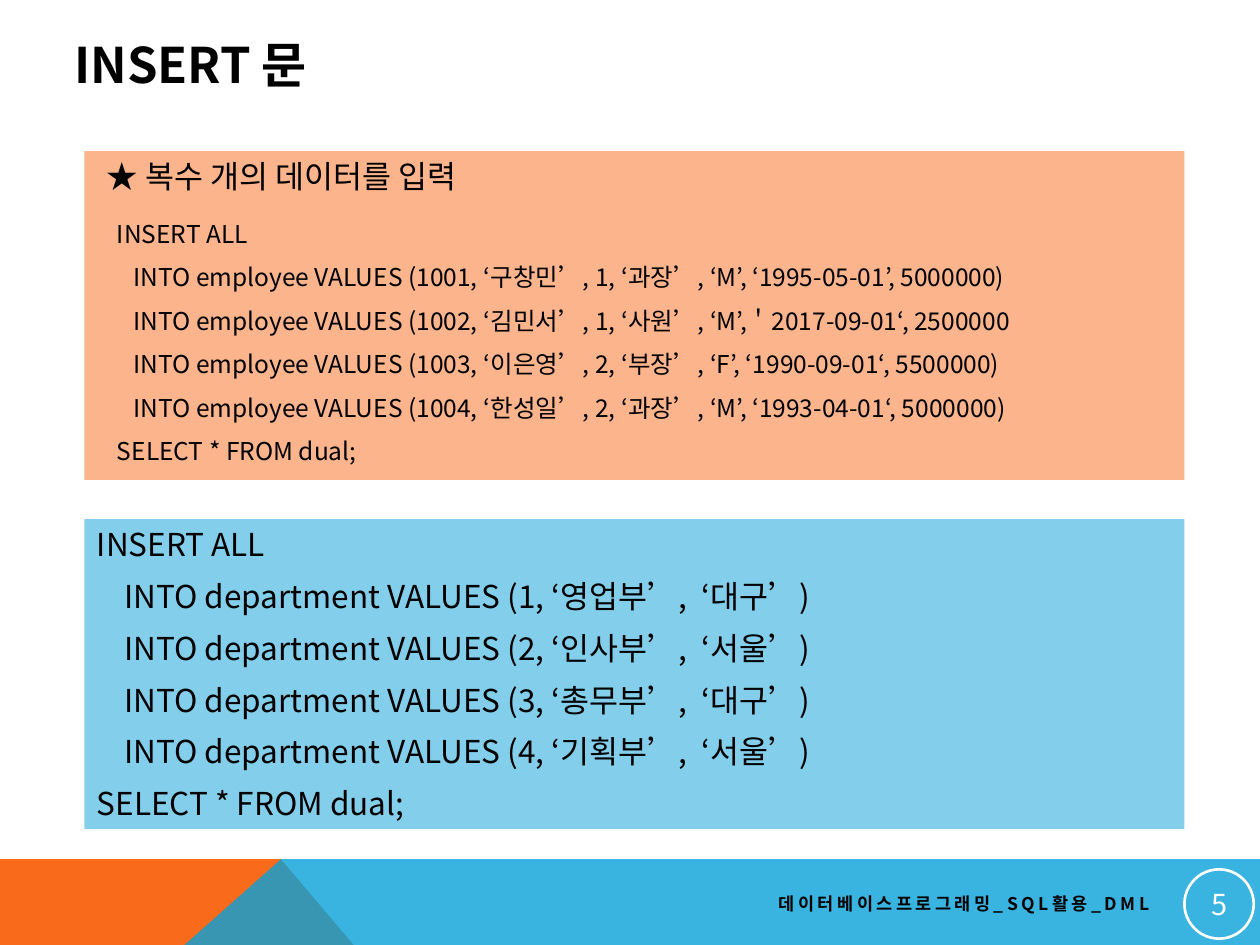
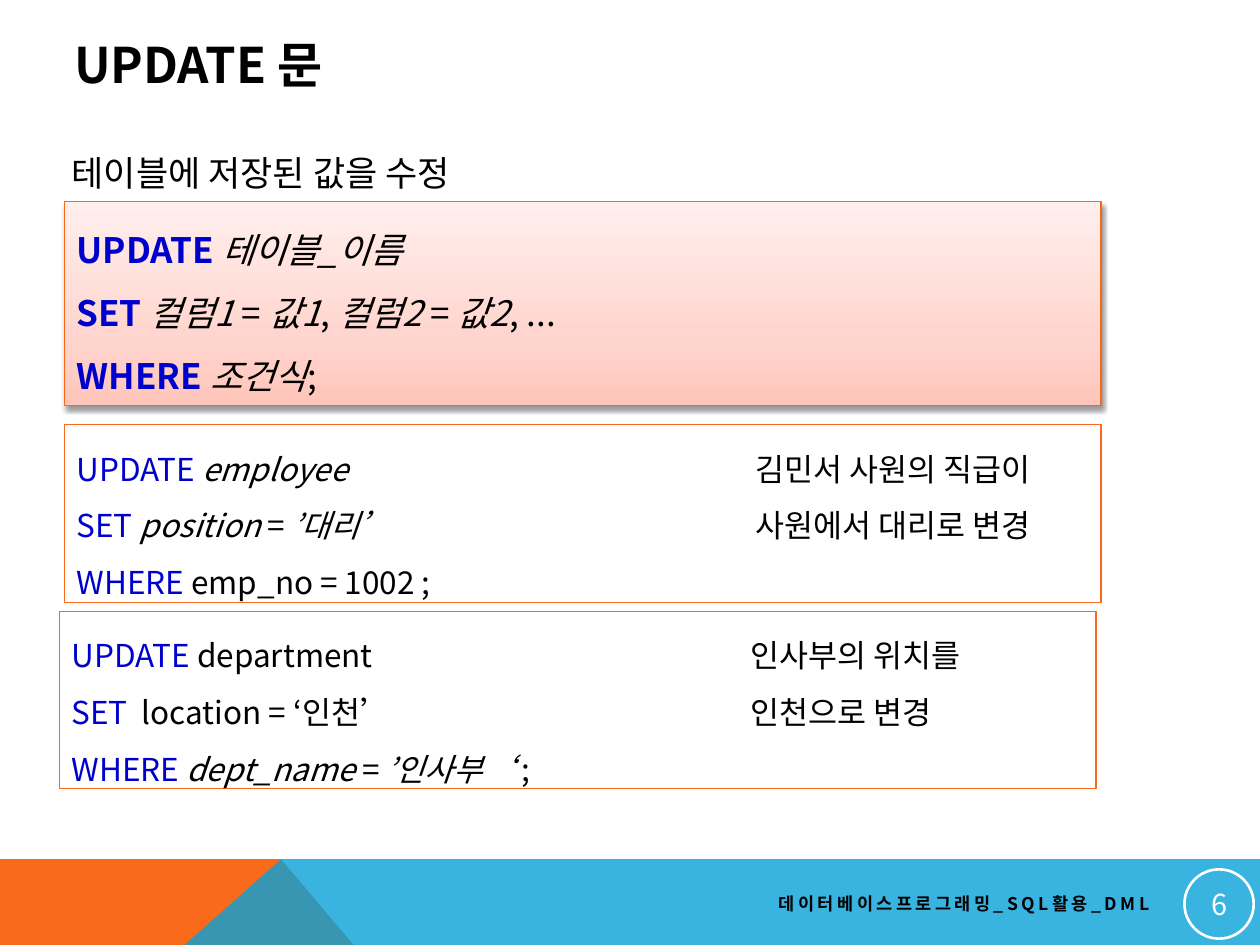
from collections import namedtuple

from lxml import etree
from pptx import Presentation
from pptx.dml.color import RGBColor
from pptx.enum.shapes import MSO_SHAPE
from pptx.enum.text import MSO_ANCHOR, MSO_AUTO_SIZE, PP_ALIGN
from pptx.oxml.ns import qn
from pptx.util import Inches, Pt

RECTANGLE, ELLIPSE = MSO_SHAPE.RECTANGLE, MSO_SHAPE.OVAL
TOP, MIDDLE = MSO_ANCHOR.TOP, MSO_ANCHOR.MIDDLE
LEFT, CENTER, RIGHT = PP_ALIGN.LEFT, PP_ALIGN.CENTER, PP_ALIGN.RIGHT
FIXED, GROW = MSO_AUTO_SIZE.NONE, MSO_AUTO_SIZE.SHAPE_TO_FIT_TEXT

BLACK = RGBColor(0x00, 0x00, 0x00)
WHITE = RGBColor(0xFF, 0xFF, 0xFF)
ORANGE = RGBColor(0xF9, 0x6A, 0x1B)
SYNTAX_LINE = RGBColor(0xF9, 0x66, 0x15)
BLUE = RGBColor(0x08, 0xA1, 0xD9)
KEYWORD_BLUE = RGBColor(0x00, 0x00, 0xCD)
SYNTAX_GRADIENT = [(0, RGBColor(0xFF, 0xC5, 0xBA)),
                   (35, RGBColor(0xFF, 0xD6, 0xCF)),
                   (100, RGBColor(0xFF, 0xEF, 0xED))]

FONT = "Noto Sans CJK KR"
FOOTER = "데이터베이스프로그래밍_SQL활용_DML"
FIRST_NUMBER = 5
HANGING = Inches(0.38)
KEYWORD, PLAIN, ITALIC = "keyword", "plain", "italic"

Box = namedtuple("Box", "left top width height")
SLIDE = Box(0, 0, Inches(10), Inches(7.5))


def part(box, left, top, width, height):
    """Return the box at the given percentages of another box."""
    return Box(int(box.left + box.width * left / 100),
               int(box.top + box.height * top / 100),
               int(box.width * width / 100),
               int(box.height * height / 100))


def format_run(run, size, color=BLACK, bold=False, italic=False):
    font = run.font
    font.name, font.size = FONT, Pt(size)
    font.bold, font.italic = bold, italic
    font.color.rgb = color
    east_asian = etree.SubElement(font._element, qn("a:ea"))
    east_asian.set("typeface", FONT)


def set_frame(text_frame, anchor=TOP, wrap=True, auto_size=FIXED):
    text_frame.word_wrap = wrap
    text_frame.auto_size = auto_size
    text_frame.vertical_anchor = anchor


def write_text(text_frame, text, size, align=LEFT, line_spacing=None, **style):
    text_frame.text = text
    for paragraph in text_frame.paragraphs:
        paragraph.alignment = align
        paragraph.line_spacing = line_spacing
        for run in paragraph.runs:
            format_run(run, size, **style)


def write_statement(text_frame, lines, size, nested_indent):
    write_text(text_frame, "\n".join(lines), size)
    for paragraph in text_frame.paragraphs:
        nested = paragraph.text.startswith("INTO")
        paragraph.space_before = Pt(8)
        properties = paragraph._p.get_or_add_pPr()
        properties.set("marL", str(HANGING + (nested_indent if nested else 0)))
        properties.set("indent", str(-HANGING))


def write_code(text_frame, lines, size, bold_keywords=False):
    for index, line in enumerate(lines):
        paragraph = text_frame.paragraphs[0] if index == 0 else text_frame.add_paragraph()
        paragraph.alignment = LEFT
        paragraph.line_spacing = 1.5
        for text, kind in line:
            run = paragraph.add_run()
            run.text = text
            is_keyword = kind == KEYWORD
            format_run(run, size, KEYWORD_BLUE if is_keyword else BLACK,
                       bold=is_keyword and bold_keywords, italic=kind == ITALIC)


def paint(shape, fill=None, opacity=100, line=None, line_width=0.75):
    shape.shadow.inherit = False
    if fill is None:
        shape.fill.background()
    else:
        shape.fill.solid()
        shape.fill.fore_color.rgb = fill
        if opacity < 100:
            color = shape._element.spPr.find(qn("a:solidFill"))[0]
            etree.SubElement(color, qn("a:alpha")).set("val", str(opacity * 1000))
    if line is None:
        shape.line.fill.background()
    else:
        shape.line.color.rgb = line
        shape.line.width = Pt(line_width)


def paint_syntax(shape):
    paint(shape, line=SYNTAX_LINE)
    shape.fill.gradient()
    shape.fill.gradient_angle = 90
    properties = shape._element.spPr
    stops = properties.find(qn("a:gradFill")).find(qn("a:gsLst"))
    for stop in list(stops):
        stops.remove(stop)
    for position, color in SYNTAX_GRADIENT:
        stop = etree.SubElement(stops, qn("a:gs"))
        stop.set("pos", str(position * 1000))
        etree.SubElement(stop, qn("a:srgbClr")).set("val", str(color))
    shadow = etree.SubElement(properties.find(qn("a:effectLst")), qn("a:outerShdw"))
    for name, value in (("blurRad", Pt(3.1)), ("dist", Pt(1.6)),
                        ("dir", 90 * 60000), ("rotWithShape", 0)):
        shadow.set(name, str(value))
    color = etree.SubElement(shadow, qn("a:srgbClr"))
    color.set("val", str(BLACK))
    etree.SubElement(color, qn("a:alpha")).set("val", "38000")


def add_text_box(slide, box, text, size, anchor=TOP, wrap=True, auto_size=FIXED, **style):
    shape = slide.shapes.add_textbox(*box)
    set_frame(shape.text_frame, anchor, wrap, auto_size)
    write_text(shape.text_frame, text, size, **style)
    return shape


def add_panel(slide, box, auto_size=FIXED):
    shape = slide.shapes.add_shape(RECTANGLE, *box)
    set_frame(shape.text_frame, auto_size=auto_size)
    return shape


def add_polygon(slide, box, corners, fill, opacity=100):
    points = [part(box, x, y, 0, 0)[:2] for x, y in corners]
    builder = slide.shapes.build_freeform(*points[0], scale=1.0)
    builder.add_line_segments(points[1:], close=True)
    paint(builder.convert_to_shape(), fill, opacity)


def add_band(slide, box, number):
    add_polygon(slide, box, [(0, 0), (22.3, 0), (28.07, 100), (0, 100)], ORANGE)
    add_polygon(slide, box, [(14.64, 100), (22.3, 0), (100, 0), (100, 100)], BLUE, 80)
    footer = add_text_box(slide, part(box, 35.8, 29.41, 56.4, 44.12), FOOTER, 10,
                          anchor=MIDDLE, align=RIGHT, bold=True)
    footer.text_frame.paragraphs[0].runs[0].font._element.set("spc", "200")
    badge = slide.shapes.add_shape(ELLIPSE, *part(box, 94, 11.76, 5.5, 80.88))
    paint(badge, line=WHITE, line_width=1.5)
    frame = badge.text_frame
    set_frame(frame, MIDDLE)
    frame.margin_left = frame.margin_right = Inches(0.01)
    frame.margin_top = frame.margin_bottom = Inches(0.01)
    write_text(frame, str(number), 16.5, align=CENTER, color=WHITE)


def add_titled_slide(presentation, title, number):
    slide = presentation.slides.add_slide(presentation.slide_layouts[5])
    shape = slide.shapes.title
    shape.left, shape.top, shape.width, shape.height = part(SLIDE, 4.9, 2.8, 82.2, 8)
    set_frame(shape.text_frame, MIDDLE)
    write_text(shape.text_frame, title, 28, bold=True)
    add_band(slide, part(SLIDE, 0, 90.93, 100, 9.07), number)
    return slide


def add_employee_panel(slide, box):
    paint(add_panel(slide, box), ORANGE, 50)
    add_text_box(slide, part(box, 0.92, 0, 38.26, 15.33), "★ 복수 개의 데이터를 입력", 18,
                 wrap=False, auto_size=GROW)
    rows = ["1001, ‘구창민’, 1, ‘과장’, ‘M’, ‘1995-05-01’, 5000000)",
            "1002, ‘김민서’, 1, ‘사원’, ‘M’,＇2017-09-01‘, 2500000",
            "1003, ‘이은영’, 2, ‘부장’, ‘F’, ‘1990-09-01‘, 5500000)",
            "1004, ‘한성일’, 2, ‘과장’, ‘M’, ‘1993-04-01‘, 5000000)"]
    inserts = [f"INTO employee VALUES ({row}" for row in rows]
    body = slide.shapes.add_textbox(*part(box, 1.83, 18.77, 94.16, 75.48))
    set_frame(body.text_frame)
    write_statement(body.text_frame, ["INSERT ALL", *inserts, "SELECT * FROM dual;"],
                    14, Inches(0.13))


def add_department_panel(slide, box):
    panel = add_panel(slide, box)
    paint(panel, BLUE, 50)
    departments = [("영업부", "대구"), ("인사부", "서울"), ("총무부", "대구"), ("기획부", "서울")]
    inserts = [f"INTO department VALUES ({number}, ‘{name}’,  ‘{city}’)"
               for number, (name, city) in enumerate(departments, 1)]
    write_statement(panel.text_frame, ["INSERT ALL", *inserts, "SELECT * FROM dual;"],
                    18, Inches(0.22))


def add_syntax_panel(slide, box):
    panel = add_panel(slide, box, GROW)
    paint_syntax(panel)
    lines = [
        [("UPDATE\u00a0", KEYWORD), ("테이블_이름", ITALIC)],
        [("SET\u00a0", KEYWORD), ("컬럼1\u00a0", ITALIC), ("=\u00a0", PLAIN),
         ("값1", ITALIC), (",\u00a0", PLAIN), ("컬럼2\u00a0", ITALIC),
         ("=\u00a0", PLAIN), ("값2", ITALIC), (", ...", PLAIN)],
        [("WHERE\u00a0", KEYWORD), ("조건식", ITALIC), (";", PLAIN)],
    ]
    write_code(panel.text_frame, lines, 20, bold_keywords=True)


def add_example(slide, box, lines, note):
    panel = add_panel(slide, box, GROW)
    paint(panel, line=ORANGE)
    write_code(panel.text_frame, lines, 18)
    add_text_box(slide, part(box, 65.49, 0, 34.51, 71.63), note, 18,
                 auto_size=GROW, line_spacing=1.5)


def add_insert_slide(presentation, number):
    slide = add_titled_slide(presentation, "INSERT 문", number)
    add_employee_panel(slide, part(SLIDE, 6.7, 16, 87.3, 34.8))
    add_department_panel(slide, part(SLIDE, 6.7, 54.93, 87.3, 32.8))


def add_update_slide(presentation, number):
    slide = add_titled_slide(presentation, "UPDATE 문", number)
    add_text_box(slide, part(SLIDE, 4.7, 15.33, 35.8, 5.87), "테이블에 저장된 값을 수정", 20,
                 wrap=False, auto_size=GROW)
    add_syntax_panel(slide, part(SLIDE, 5.1, 21.33, 82.3, 21.6))
    position_change = [
        [("UPDATE\u00a0", KEYWORD), ("employee", ITALIC)],
        [("SET\u00a0", KEYWORD), ("position\u00a0", ITALIC), ("=\u00a0", PLAIN),
         ("’대리’", ITALIC)],
        [("WHERE ", KEYWORD), ("emp_no = 1002\u00a0;", PLAIN)],
    ]
    location_change = [
        [("UPDATE\u00a0", KEYWORD), ("department", PLAIN)],
        [("SET\u00a0", KEYWORD), (" location = ‘인천’", PLAIN)],
        [("WHERE ", KEYWORD), ("dept_name\u00a0", ITALIC), ("=", PLAIN),
         ("\u00a0’인사부‘\u00a0", ITALIC), (";", PLAIN)],
    ]
    add_example(slide, part(SLIDE, 5.1, 44.93, 82.3, 18.8), position_change,
                "김민서 사원의 직급이 사원에서 대리로 변경")
    add_example(slide, part(SLIDE, 4.7, 64.67, 82.3, 18.8), location_change,
                "인사부의 위치를\n인천으로 변경")


def main():
    presentation = Presentation()
    presentation.slide_width, presentation.slide_height = SLIDE.width, SLIDE.height
    for number, add_slide in enumerate((add_insert_slide, add_update_slide), FIRST_NUMBER):
        add_slide(presentation, number)
    presentation.save("out.pptx")


main()
